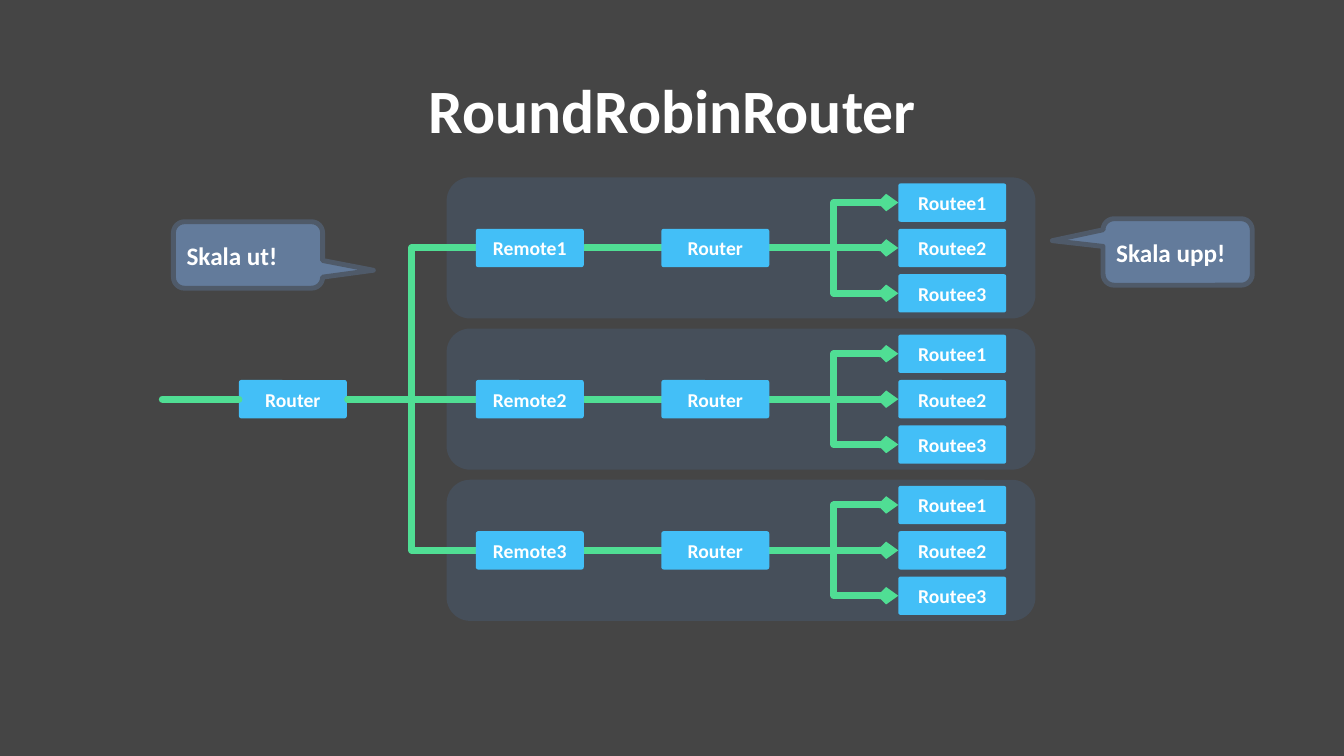
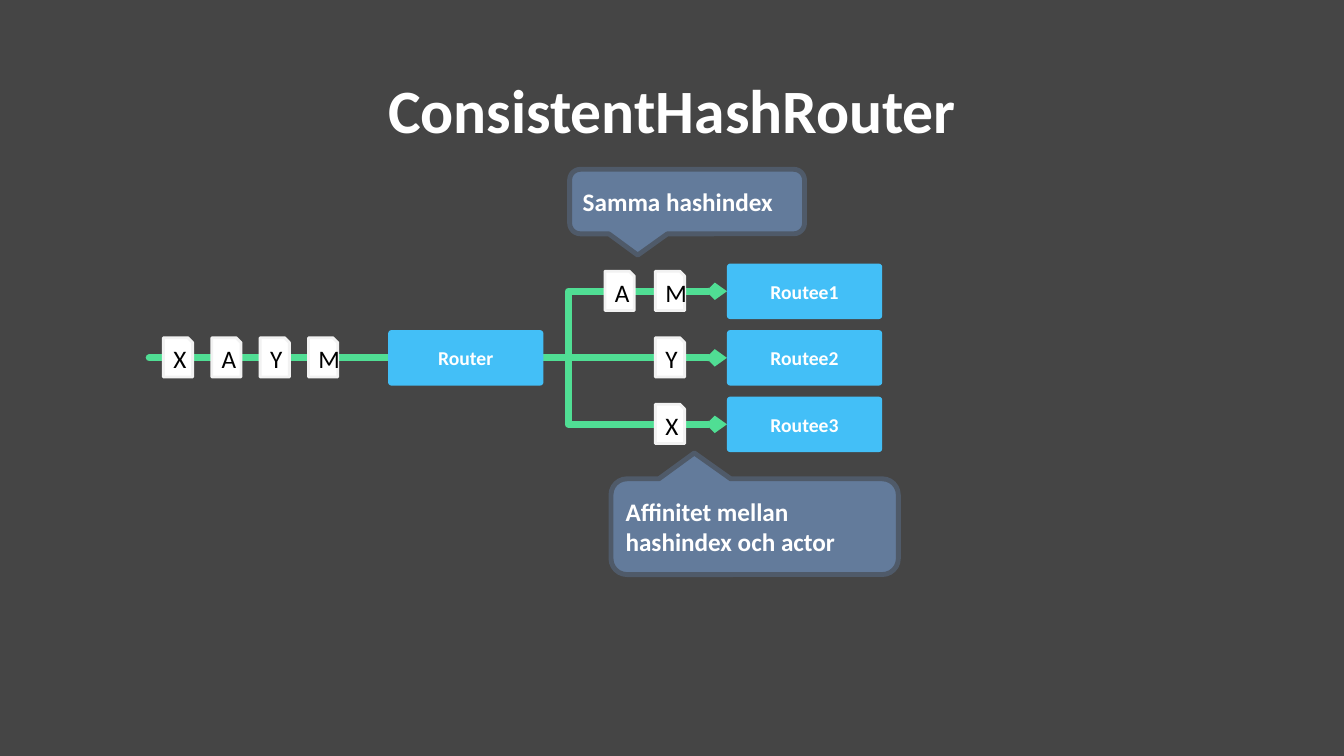
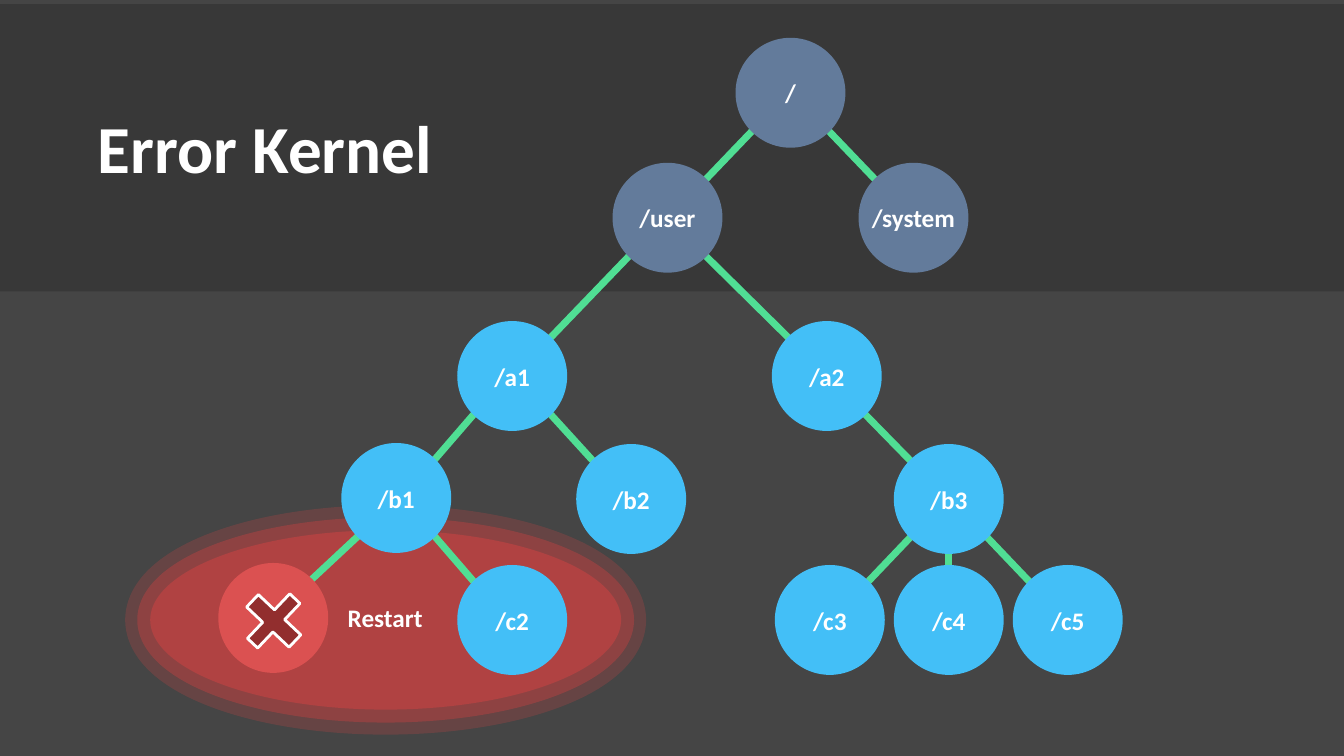
"""Three dark slides about actor routers and the error kernel."""
from lxml import etree
from pptx import Presentation
from pptx.dml.color import RGBColor
from pptx.enum.shapes import MSO_CONNECTOR, MSO_SHAPE
from pptx.enum.text import MSO_ANCHOR, PP_ALIGN
from pptx.oxml.ns import qn
from pptx.util import Inches, Pt

STRAIGHT, ELBOW = MSO_CONNECTOR.STRAIGHT, MSO_CONNECTOR.ELBOW
ROUNDED, ELLIPSE, CROSS = MSO_SHAPE.ROUNDED_RECTANGLE, MSO_SHAPE.OVAL, MSO_SHAPE.CROSS
CALLOUT, SHEET = MSO_SHAPE.ROUNDED_RECTANGULAR_CALLOUT, MSO_SHAPE.SNIP_1_RECTANGLE
LEFT, CENTER, MIDDLE = PP_ALIGN.LEFT, PP_ALIGN.CENTER, MSO_ANCHOR.MIDDLE

FONT = "Calibri"
BACKGROUND = RGBColor(0x45, 0x45, 0x45)
WHITE = RGBColor(0xFF, 0xFF, 0xFF)
BLACK = RGBColor(0x00, 0x00, 0x00)
BLUE = RGBColor(0x43, 0xBF, 0xF7)
GREEN = RGBColor(0x50, 0xDE, 0x94)
SLATE = RGBColor(0x63, 0x7B, 0x9B)
SLATE_EDGE = RGBColor(0x4F, 0x5A, 0x69)
PANEL = RGBColor(0x48, 0x59, 0x70)
SHEET_EDGE = RGBColor(0xF2, 0xF2, 0xF2)
BAND = RGBColor(0x26, 0x26, 0x26)
RED = RGBColor(0xB0, 0x42, 0x42)
FAILED = RGBColor(0xDB, 0x51, 0x51)
DARK_RED = RGBColor(0x92, 0x2E, 0x2E)

NODE_RADIUS = 0.545
DIAGONAL = 0.385
NODES = {
    "/": (7.84, 0.92), "/user": (6.62, 2.16), "/system": (9.06, 2.16),
    "/a1": (5.08, 3.73), "/a2": (8.2, 3.73),
    "/b1": (3.93, 4.94), "/b2": (6.26, 4.95), "/b3": (9.41, 4.95),
    "failed": (2.71, 6.13), "/c2": (5.08, 6.15),
    "/c3": (8.23, 6.15), "/c4": (9.41, 6.15), "/c5": (10.59, 6.15),
}
CHILDREN = {
    "/": ("/user", "/system"), "/user": ("/a1", "/a2"),
    "/a1": ("/b1", "/b2"), "/a2": ("/b3",),
    "/b1": ("failed", "/c2"), "/b3": ("/c3", "/c4", "/c5"),
}


def new_slide(deck):
    """Add a blank slide with the shared background."""
    slide = deck.slides.add_slide(deck.slide_layouts[6])
    slide.background.fill.solid()
    slide.background.fill.fore_color.rgb = BACKGROUND
    return slide


def write(shape, text, size, color=WHITE, bold=True, align=CENTER):
    """Write one paragraph into a shape and return the paragraph."""
    paragraph = shape.text_frame.paragraphs[0]
    paragraph.alignment = align
    run = paragraph.add_run()
    run.text = text
    run.font.name, run.font.size, run.font.bold = FONT, Pt(size), bold
    run.font.color.rgb = color
    return paragraph


def add_text(slide, text, x, y, w, h, size, align=LEFT, wrap=True):
    """Add a text box and return it with its paragraph."""
    box = slide.shapes.add_textbox(Inches(x), Inches(y), Inches(w), Inches(h))
    box.text_frame.word_wrap = wrap
    return box, write(box, text, size, align=align)


def add_title(slide, text):
    """Add the centred title of a router slide."""
    box, paragraph = add_text(slide, text, 0.92, 0.4, 11.5, 1.45, 44, CENTER)
    box.text_frame.vertical_anchor = MIDDLE
    paragraph.line_spacing = 0.9


def set_opacity(parent, percent):
    """Make the solid colour under an element translucent."""
    color = parent.find(qn("a:solidFill")).find(qn("a:srgbClr"))
    etree.SubElement(color, qn("a:alpha")).set("val", str(percent * 1000))


def add_figure(slide, kind, x, y, w, h, fill=None, opacity=None, edge=None, edge_opacity=None, adjust=()):
    """Add a preset shape; edge is a colour and a width in points."""
    figure = slide.shapes.add_shape(kind, Inches(x), Inches(y), Inches(w), Inches(h))
    figure.shadow.inherit = False
    for index, value in enumerate(adjust):
        figure.adjustments[index] = value
    properties = figure._element.spPr
    if fill is None:
        figure.fill.background()
    else:
        figure.fill.solid()
        figure.fill.fore_color.rgb = fill
    if opacity:
        set_opacity(properties, opacity)
    if edge is None:
        figure.line.fill.background()
    else:
        figure.line.color.rgb, figure.line.width = edge[0], Pt(edge[1])
    if edge_opacity:
        set_opacity(properties.find(qn("a:ln")), edge_opacity)
    return figure


def add_actor(slide, text, x, middle, w=1.07, h=0.38):
    """Add a blue actor box centred on a height."""
    actor = add_figure(slide, ROUNDED, x, middle - h / 2, w, h, BLUE, adjust=(0.06,))
    write(actor, text, 14)


def add_callout(slide, text, x, y, w, h, tip):
    """Add a speech bubble with its tip at a relative offset."""
    callout = add_figure(slide, CALLOUT, x, y, w, h, SLATE, edge=(SLATE_EDGE, 3.5), adjust=tip)
    write(callout, text, 18, align=LEFT)


def add_message(slide, letter, x, middle):
    """Add a message sheet with one letter."""
    sheet = add_figure(slide, SHEET, x, middle - 0.2, 0.29, 0.39, WHITE, edge=(SHEET_EDGE, 2))
    write(sheet, letter, 18, BLACK, False)


def add_wire(slide, x1, y1, x2, y2, bend=None, arrow=False):
    """Add a green line, bent at a share of its width if asked."""
    kind = ELBOW if bend else STRAIGHT
    wire = slide.shapes.add_connector(kind, Inches(x1), Inches(y1), Inches(x2), Inches(y2))
    wire.line.color.rgb, wire.line.width = GREEN, Pt(5)
    properties = wire._element.spPr
    if bend:
        guide = etree.SubElement(properties.find(qn("a:prstGeom")).find(qn("a:avLst")), qn("a:gd"))
        guide.set("name", "adj1")
        guide.set("fmla", f"val {round(bend * 100000)}")
    stroke = properties.find(qn("a:ln"))
    stroke.set("cap", "rnd")
    etree.SubElement(stroke, qn("a:round"))
    if arrow:
        tip = etree.SubElement(stroke, qn("a:tailEnd"))
        for key, value in (("type", "arrow"), ("w", "sm"), ("len", "sm")):
            tip.set(key, value)
    etree.SubElement(properties, qn("a:effectLst"))


def add_fan(slide, x1, middle, x2, gap, bend=0.5, arrow=True):
    """Branch one line into three at equal gaps."""
    for step in (1, -1, 0):
        add_wire(slide, x1, middle, x2, middle + step * gap, bend if step else None, arrow)


def add_routees(slide, x, middle, gap, w=1.07, h=0.38):
    """Stack three routees around a height."""
    for number in (1, 2, 3):
        add_actor(slide, f"Routee{number}", x, middle + (number - 2) * gap, w, h)


def build_round_robin(deck):
    """Build the round robin slide."""
    slide = new_slide(deck)
    middle, pitch = 3.96, 1.5
    rows = [middle + step * pitch for step in (-1, 0, 1)]
    for row in rows:
        add_figure(slide, ROUNDED, 4.43, row - 0.7, 5.84, 1.4, PANEL, 50)
    add_title(slide, "RoundRobinRouter")
    add_actor(slide, "Router", 2.37, middle)
    add_fan(slide, 3.45, middle, 4.72, pitch, arrow=False)
    add_wire(slide, 1.61, middle, 2.37, middle)
    for number, row in enumerate(rows, 1):
        add_routees(slide, 8.91, row, 0.45)
        add_fan(slide, 7.63, row, 8.91, 0.45)
        add_wire(slide, 5.8, row, 6.56, row)
        add_actor(slide, f"Remote{number}", 4.72, row)
        add_actor(slide, "Router", 6.56, row)
    add_callout(slide, "Skala upp!", 10.94, 2.17, 1.48, 0.66, (-0.84, -0.17))
    add_callout(slide, "Skala ut!", 1.72, 2.2, 1.48, 0.66, (0.84, 0.23))


def build_consistent_hash(deck):
    """Build the consistent hash slide."""
    slide = new_slide(deck)
    middle, gap = 3.55, 0.66
    add_title(slide, "ConsistentHashRouter")
    add_fan(slide, 5.39, middle, 7.21, gap, 0.135)
    add_wire(slide, 1.48, middle, 3.85, middle)
    for index, letter in enumerate("XAYM"):
        add_message(slide, letter, 1.62 + 0.48 * index, middle)
    for step, letters in ((-1, "MA"), (0, "Y"), (1, "X")):
        for index, letter in enumerate(letters):
            add_message(slide, letter, 6.5 - 0.5 * index, middle + step * gap)
    add_actor(slide, "Router", 3.85, middle, 1.54, 0.55)
    add_routees(slide, 7.21, middle, gap, 1.54, 0.55)
    add_callout(slide, "Samma hashindex", 5.65, 1.68, 2.33, 0.64, (-0.21, 0.83))
    add_callout(slide, "Affinitet mellan hashindex och actor", 6.06, 4.75, 2.85, 0.95, (-0.21, -0.77))


def add_branch(slide, parent, child):
    """Join the facing rims of two tree nodes."""
    (x1, y1), (x2, y2) = NODES[parent], NODES[child]
    side = (x2 > x1) - (x2 < x1)
    drop = DIAGONAL if side else NODE_RADIUS
    add_wire(slide, x1 + side * DIAGONAL, y1 + drop, x2 - side * DIAGONAL, y2 - drop)


def add_node(slide, name):
    """Add a tree node; the failed one carries a cross."""
    x, y = NODES[name]
    fill = {"failed": FAILED, "/": SLATE, "/user": SLATE, "/system": SLATE}.get(name, BLUE)
    side = 2 * NODE_RADIUS
    node = add_figure(slide, ELLIPSE, x - NODE_RADIUS, y - NODE_RADIUS, side, side, fill)
    if name == "failed":
        cross = add_figure(slide, CROSS, 2.41, 5.87, 0.61, 0.58, DARK_RED, edge=(WHITE, 2), adjust=(0.38,))
        cross.rotation = 313.5
    else:
        write(node, name, 18)
        if name == "/system":
            node.text_frame.word_wrap = False


def build_error_kernel(deck):
    """Build the supervision tree slide."""
    slide = new_slide(deck)
    for fill, width, opacity in ((None, 35.75, 31), (RED, 18.5, 54)):
        add_figure(slide, ELLIPSE, 1.49, 5.26, 4.67, 1.78, fill, edge=(RED, width), edge_opacity=opacity)
    add_figure(slide, ROUNDED, 0, 0.04, 13.33, 2.85, BAND, 40, adjust=(0,))
    add_text(slide, "Restart", 3.35, 5.93, 0.95, 0.4, 18, wrap=False)
    for parent, children in CHILDREN.items():
        for child in children:
            add_branch(slide, parent, child)
    for name in NODES:
        add_node(slide, name)
    add_text(slide, "Error Kernel", 0.87, 1.01, 3.68, 0.91, 48)


def main():
    """Build the deck and save it."""
    deck = Presentation()
    deck.slide_width, deck.slide_height = Inches(13.33), Inches(7.5)
    build_round_robin(deck)
    build_consistent_hash(deck)
    build_error_kernel(deck)
    deck.save("out.pptx")


if __name__ == "__main__":
    main()
